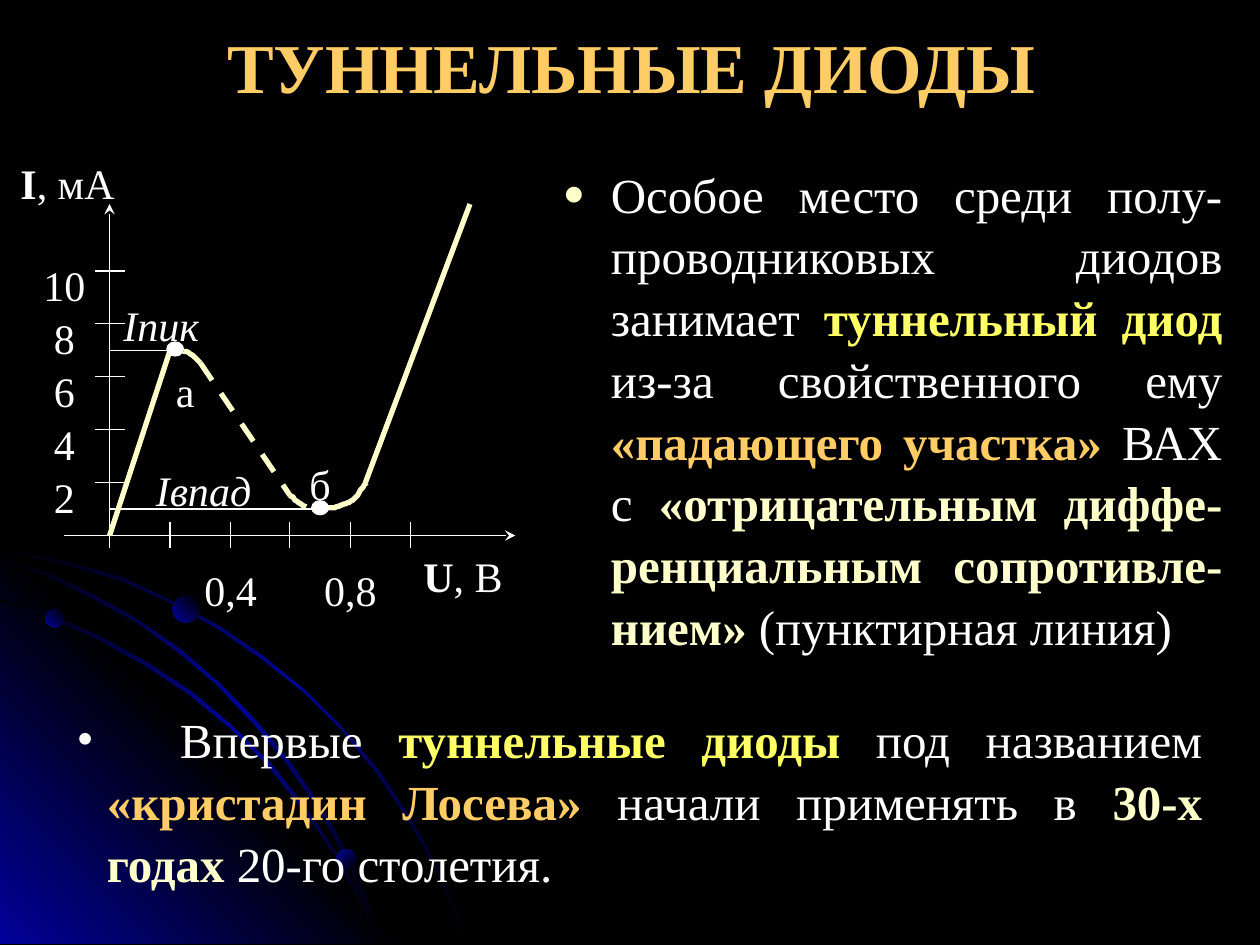
"""Build the slide about tunnel diodes with their current-voltage curve."""
from typing import NamedTuple, Optional

import lxml.etree
import pptx
import pptx.dml.color
import pptx.enum.dml
import pptx.enum.shapes
import pptx.enum.text
import pptx.oxml
import pptx.oxml.ns
import pptx.util

PX = 9144
FONT = "Times New Roman"
LINE_SPACING = 1.05
RGB = pptx.dml.color.RGBColor
BLACK = RGB(0x00, 0x00, 0x00)
NAVY = RGB(0x01, 0x01, 0x99)
WHITE = RGB(0xFF, 0xFF, 0xFF)
CREAM = RGB(0xFF, 0xFF, 0xCC)
YELLOW = RGB(0xFF, 0xFF, 0x66)
ORANGE = RGB(0xFF, 0xCC, 0x66)
ALIGN = pptx.enum.text.PP_ALIGN
ANCHOR = pptx.enum.text.MSO_ANCHOR
DASH = pptx.enum.dml.MSO_LINE.DASH
qn = pptx.oxml.ns.qn


class Span(NamedTuple):
    text: str
    color: RGB = WHITE
    bold: bool = False
    italic: bool = False


class Bullet(NamedTuple):
    char: str
    color: RGB
    percent: int
    indent: int
    tab: Optional[int] = None


class Text(NamedTuple):
    left: int
    top: int
    width: int
    height: int
    spans: list
    size: int = 24
    align: ALIGN = ALIGN.CENTER
    inset: tuple = (0, 0)
    anchor: ANCHOR = ANCHOR.TOP
    bullet: Optional[Bullet] = None


class Line(NamedTuple):
    start: tuple
    end: tuple
    color: RGB = WHITE
    width: float = 0.75
    dashed: bool = False
    arrow: bool = False


class Curve(NamedTuple):
    beziers: list
    dashed: bool


class Ball(NamedTuple):
    left: int
    top: int
    size: int
    angle: int


ARCS = [
    [(57, 447), (28, 441), (0, 435), (0, 438), (28, 443), (56, 449), (97, 461), (135, 478),
     (173, 499), (208, 523), (241, 549), (271, 579), (298, 612), (323, 649), (337, 673),
     (350, 698), (360, 723), (370, 749), (372, 749), (362, 723), (352, 698), (339, 673),
     (325, 648), (300, 611), (272, 578), (242, 548), (209, 521), (174, 497), (136, 477), (98, 459)],
    [(285, 714), (294, 732), (301, 749), (303, 749), (296, 730), (286, 712), (266, 676),
     (242, 640), (215, 606), (184, 576), (152, 549), (117, 526), (79, 505), (41, 488), (0, 475),
     (0, 477), (39, 490), (77, 507), (115, 528), (150, 551), (183, 578), (213, 608), (240, 642),
     (265, 677)],
    [(0, 442), (0, 444), (36, 457), (74, 475), (109, 494), (142, 518), (173, 544), (202, 575),
     (227, 605), (252, 641), (267, 667), (280, 694), (292, 722), (301, 749), (303, 749),
     (294, 720), (282, 693), (269, 665), (254, 639), (229, 603), (204, 573), (175, 543),
     (144, 516), (111, 493), (76, 473), (39, 455)],
]
CORNER = [(322, 749), (0, 749), (0, 427)]
BALLS = [Ball(36, 483, 15, 135), Ball(267, 674, 16, 225), Ball(137, 473, 21, 135)]

X_TICKS = [87 + round(47.8 * step) for step in range(1, 6)]
Y_TICKS = [425 - 42 * step for step in range(1, 6)]
LINES = [
    Line((87, 404), (254, 404)),
    Line((87, 278), (135, 278)),
    *[Line((75, y), (99, y)) for y in Y_TICKS],
    *[Line((x, 414), (x, 435)) for x in X_TICKS],
    Line((87, 435), (87, 162), arrow=True),
    Line((51, 425), (409, 425), arrow=True),
    Line((290, 383), (373, 162), CREAM, 3),
    Line((87, 425), (135, 278), CREAM, 3),
    Line((159, 288), (230, 393), CREAM, 3, dashed=True),
]
CURVES = [
    Curve([[(230, 393), (232, 394), (236, 399), (240, 401)],
           [(240, 401), (244, 403), (251, 403), (254, 404)]], True),
    Curve([[(159, 288), (157, 287), (154, 281), (150, 280)],
           [(150, 280), (146, 278), (138, 278), (135, 278)]], True),
    Curve([[(254, 404), (255, 404), (258, 403), (260, 403)],
           [(260, 403), (263, 403), (266, 403), (270, 401)],
           [(270, 401), (273, 400), (278, 399), (281, 396)],
           [(281, 396), (284, 393), (289, 385), (291, 383)]], False),
]
POINTS = [(248, 398), (133, 272)]

TEXTS = [
    Text(51, 0, 900, 101, [Span("ТУННЕЛЬНЫЕ ДИОДЫ", ORANGE, True)], 40,
         inset=(10, 5), anchor=ANCHOR.MIDDLE),
    Text(437, 123, 543, 402, [
        Span("Особое место среди полу-проводниковых диодов занимает "),
        Span("туннельный диод", YELLOW, True),
        Span(" из-за свойственного ему "),
        Span("«падающего участка»", ORANGE, True),
        Span(" ВАХ с "),
        Span("«отрицательным диффе-ренциальным сопротивле-нием»", CREAM, True),
        Span(" (пунктирная линия)"),
    ], 28, ALIGN.JUSTIFY, (10, 5), bullet=Bullet("●", CREAM, 75, 38)),
    Text(51, 556, 913, 150, [
        Span("\tВпервые "),
        Span("туннельные диоды", YELLOW, True),
        Span(" под названием "),
        Span("«кристадин Лосева»", ORANGE, True),
        Span(" начали применять в "),
        Span("30-х годах", CREAM, True),
        Span(" 20-го столетия."),
    ], 28, ALIGN.JUSTIFY, (10, 5), bullet=Bullet("•", WHITE, 100, 24, 82)),
    Text(0, 123, 91, 42, [Span("I", bold=True), Span(", мА")], align=ALIGN.RIGHT),
    Text(326, 435, 83, 32, [Span("U", bold=True), Span(", В")]),
    Text(87, 236, 71, 32, [Span("Iпик", italic=True)], align=ALIGN.RIGHT),
    Text(114, 367, 95, 32, [Span("Iвпад", italic=True)]),
    Text(123, 288, 48, 31, [Span("а")]),
    Text(230, 362, 48, 31, [Span("б")]),
    *[Text(27, y - 11, 48, 31, [Span(str(2 * step))]) for step, y in enumerate(Y_TICKS, 1)],
    *[Text(x - 24, 446, 48, 31, [Span(name)]) for x, name in zip(X_TICKS[1::2], ("0,4", "0,8"))],
]


def fill_gradient(shape, colors: list, angle: int) -> None:
    shape.shadow.inherit = False
    shape.line.fill.background()
    shape.fill.gradient()
    gradient = shape.fill._xPr.find(qn("a:gradFill"))
    stops = gradient.find(qn("a:gsLst"))
    for stop in list(stops):
        stops.remove(stop)
    for index, color in enumerate(colors):
        position = str(100000 * index // (len(colors) - 1))
        stop = lxml.etree.SubElement(stops, qn("a:gs"), pos=position)
        lxml.etree.SubElement(stop, qn("a:srgbClr"), val=str(color))
    gradient.find(qn("a:lin")).set("ang", str(angle * 60000))


def add_outline(page, points: list, close: bool):
    builder = page.shapes.build_freeform(*points[0], scale=PX)
    builder.add_line_segments(points[1:], close=close)
    return builder.convert_to_shape()


def add_ellipse(page, left: int, top: int, width: int, height: int):
    kind = pptx.enum.shapes.MSO_SHAPE.OVAL
    return page.shapes.add_shape(kind, left * PX, top * PX, width * PX, height * PX)


def style_line(line, color: RGB, width: float, dashed: bool = False) -> None:
    line.color.rgb = color
    line.width = pptx.util.Pt(width)
    if dashed:
        line.dash_style = DASH


def add_line(page, item: Line) -> None:
    ends = [value * PX for value in item.start + item.end]
    line = page.shapes.add_connector(pptx.enum.shapes.MSO_CONNECTOR.STRAIGHT, *ends)
    style_line(line.line, item.color, item.width, item.dashed)
    if item.arrow:
        lxml.etree.SubElement(line.line._get_or_add_ln(), qn("a:tailEnd"), type="stealth")
    lxml.etree.SubElement(line._element.spPr, qn("a:effectLst"))


def bezier_point(controls: list, t: float) -> tuple:
    weights = ((1 - t) ** 3, 3 * t * (1 - t) ** 2, 3 * t ** 2 * (1 - t), t ** 3)
    return tuple(sum(w * point[axis] for w, point in zip(weights, controls)) for axis in (0, 1))


def add_curve(page, curve: Curve) -> None:
    points = [curve.beziers[0][0]]
    points += [bezier_point(part, step / 8) for part in curve.beziers for step in range(1, 9)]
    shape = add_outline(page, points, close=False)
    shape.shadow.inherit = False
    shape.fill.background()
    style_line(shape.line, CREAM, 3, curve.dashed)


def add_bullet(para, bullet: Bullet) -> None:
    props = para._p.get_or_add_pPr()
    props.set("marL", str(bullet.indent * PX))
    props.set("indent", str(-bullet.indent * PX))
    color = lxml.etree.SubElement(props, qn("a:buClr"))
    lxml.etree.SubElement(color, qn("a:srgbClr"), val=str(bullet.color))
    lxml.etree.SubElement(props, qn("a:buSzPct"), val=str(bullet.percent * 1000))
    lxml.etree.SubElement(props, qn("a:buFont"), typeface=FONT)
    lxml.etree.SubElement(props, qn("a:buChar"), char=bullet.char)
    if bullet.tab:
        tabs = lxml.etree.SubElement(props, qn("a:tabLst"))
        lxml.etree.SubElement(tabs, qn("a:tab"), pos=str(bullet.tab * PX), algn="l")


def add_text(page, item: Text) -> None:
    box = page.shapes.add_textbox(*[value * PX for value in item[:4]])
    frame = box.text_frame
    frame.word_wrap = True
    frame.vertical_anchor = item.anchor
    frame.margin_left = frame.margin_right = item.inset[0] * PX
    frame.margin_top = frame.margin_bottom = item.inset[1] * PX
    para = frame.paragraphs[0]
    if item.bullet:
        add_bullet(para, item.bullet)
    para.alignment = item.align
    para.line_spacing = LINE_SPACING
    para.font.name = FONT
    para.font.size = pptx.util.Pt(item.size)
    for span in item.spans:
        run = para.add_run()
        run.text = span.text
        run.font.color.rgb = span.color
        run.font.bold = span.bold
        run.font.italic = span.italic


def main() -> None:
    deck = pptx.Presentation()
    deck.slide_width, deck.slide_height = 1000 * PX, 750 * PX
    page = deck.slides.add_slide(deck.slide_layouts[6])
    page.background.fill.solid()
    page.background.fill.fore_color.rgb = BLACK
    fill_gradient(add_outline(page, CORNER, True), [NAVY, BLACK, NAVY], 135)
    for arc in ARCS:
        fill_gradient(add_outline(page, arc, True), [BLACK, NAVY, BLACK], 225)
    for ball in BALLS:
        shape = add_ellipse(page, ball.left, ball.top, ball.size, ball.size)
        fill_gradient(shape, [BLACK, NAVY], ball.angle)
    for line in LINES:
        add_line(page, line)
    for curve in CURVES:
        add_curve(page, curve)
    for left, top in POINTS:
        point = add_ellipse(page, left, top, 12, 10)
        point.shadow.inherit = False
        point.fill.solid()
        point.fill.fore_color.rgb = WHITE
        style_line(point.line, WHITE, 1.5)
    for text in TEXTS:
        add_text(page, text)
    deck.save("out.pptx")


if __name__ == "__main__":
    main()
